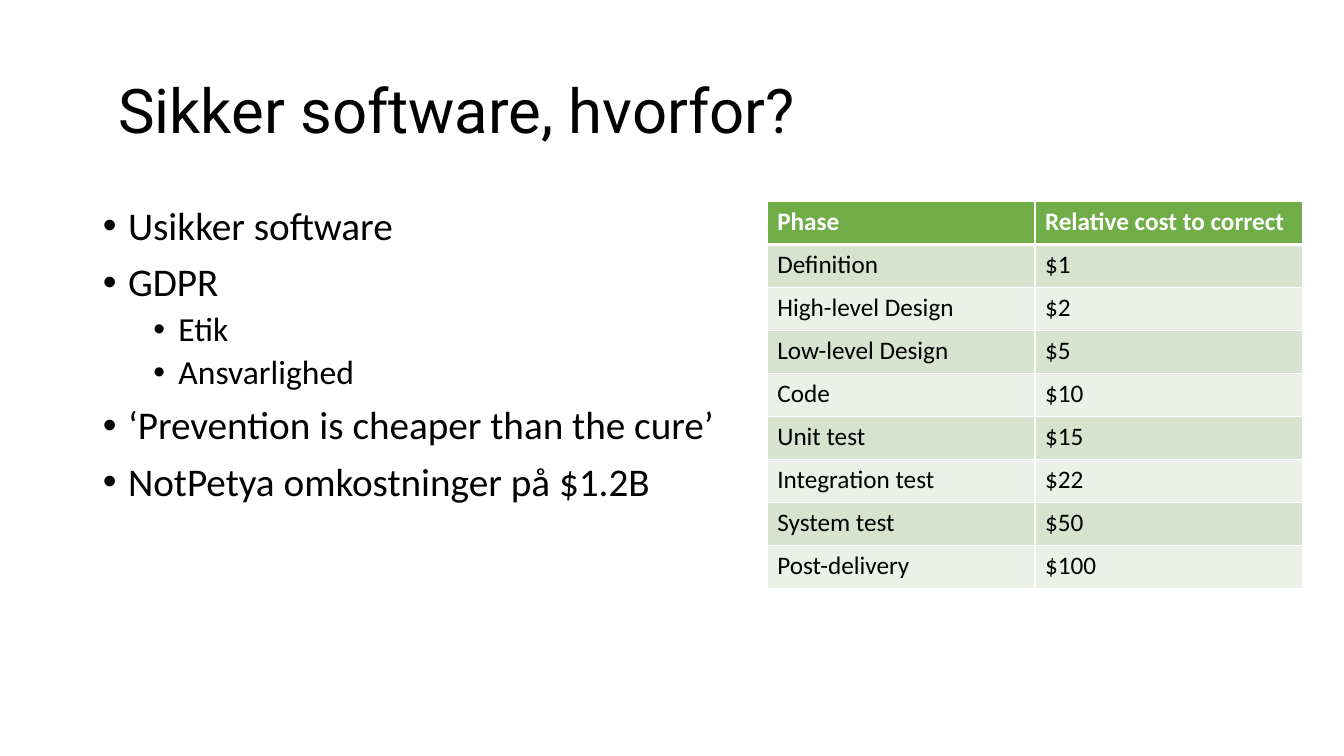
from lxml.etree import SubElement
from pptx import Presentation
from pptx.dml.color import RGBColor
from pptx.enum.text import MSO_ANCHOR as Anchor, MSO_AUTO_SIZE as AutoSize, PP_ALIGN as Align
from pptx.oxml.ns import qn
from pptx.util import Inches, Pt

TITLE = " Sikker software, hvorfor?"
POINTS = [
    (0, "Usikker software"),
    (0, "GDPR"),
    (1, "Etik"),
    (1, "Ansvarlighed"),
    (0, "‘Prevention is cheaper than the cure’"),
    (0, "NotPetya omkostninger på $1.2B"),
]
COSTS = [
    ("Phase", "Relative cost to correct"),
    ("Definition", "$1"),
    ("High-level Design", "$2"),
    ("Low-level Design", "$5"),
    ("Code", "$10"),
    ("Unit test", "$15"),
    ("Integration test", "$22"),
    ("System test", "$50"),
    ("Post-delivery", "$100"),
]


def color(value):
    return RGBColor.from_string(value)


def apply(target, values):
    for name, value in values.items():
        setattr(target, name, value)


class SlideBuilder:
    BLACK, WHITE = "000000", "FFFFFF"
    HEADER, BANDS = "70AD47", ("EBF1E9", "D5E3CF")
    HEADING_FONT, TEXT_FONT = "Roboto", "Calibri"
    # Size, space before and left indent for each list level
    LEVELS = ((28, 10, 0.25), (24, 5, 0.75))

    def __init__(self, page):
        self.page = page

    def add_text(self, para, text, size, font, shade=BLACK, bold=False):
        span = para.add_run()
        span.text = text
        apply(span.font, {"name": font, "size": Pt(size), "bold": bold})
        span.font.color.rgb = color(shade)

    def place(self, holder, left, top, width, height, anchor):
        apply(holder, {"left": Inches(left), "top": Inches(top),
                       "width": Inches(width), "height": Inches(height)})
        apply(holder.text_frame, {"word_wrap": True, "auto_size": AutoSize.NONE,
                                  "vertical_anchor": anchor})
        return holder.text_frame

    def title(self, text, *area):
        para = self.place(self.page.shapes.title, *area, Anchor.MIDDLE).paragraphs[0]
        apply(para, {"alignment": Align.LEFT, "line_spacing": 0.9})
        self.add_text(para, text, 44, self.HEADING_FONT)

    def bullets(self, points, *area):
        frame = self.place(self.page.placeholders[1], *area, Anchor.TOP)
        for index, (level, text) in enumerate(points):
            size, before, indent = self.LEVELS[level]
            para = frame.add_paragraph() if index else frame.paragraphs[0]
            apply(para, {"level": level, "line_spacing": 0.9, "space_before": Pt(before)})
            props = para._p.get_or_add_pPr()
            props.set("marL", str(Inches(indent)))
            props.set("indent", str(Inches(-0.25)))
            SubElement(props, qn("a:buFont"), typeface="Arial")
            SubElement(props, qn("a:buChar"), char="•")
            self.add_text(para, text, size, self.TEXT_FONT)

    def borders(self, cell, **widths):
        props = cell._tc.get_or_add_tcPr()
        for side in "LRTB":
            line = SubElement(props, qn(f"a:ln{side}"), w=str(Pt(widths.get(side, 1))))
            fill = SubElement(line, qn("a:solidFill"))
            SubElement(fill, qn("a:srgbClr"), val=self.WHITE)

    def table(self, rows, *area):
        shape = self.page.shapes.add_table(len(rows), len(rows[0]), *map(Inches, area))
        for r, row in enumerate(rows):
            for c, text in enumerate(row):
                cell = shape.table.cell(r, c)
                header = r == 0
                # The rule under the header is thicker
                self.borders(cell, T=3 if r == 1 else 1, B=3 if header else 1)
                cell.fill.solid()
                cell.fill.fore_color.rgb = color(self.HEADER if header else self.BANDS[r % 2])
                self.add_text(cell.text_frame.paragraphs[0], text, 18, self.TEXT_FONT,
                              self.WHITE if header else self.BLACK, header)


def main():
    deck = Presentation()
    apply(deck, {"slide_width": Inches(13.33), "slide_height": Inches(7.5)})
    builder = SlideBuilder(deck.slides.add_slide(deck.slide_layouts[1]))

    # Heading and list
    builder.title(TITLE, 0.92, 0.4, 11.5, 1.45)
    builder.bullets(POINTS, 0.92, 2, 11.5, 4.76)

    # Cost of correction by phase
    builder.table(COSTS, 7.61, 2, 5.31, 3.84)

    deck.save("out.pptx")


if __name__ == "__main__":
    main()
